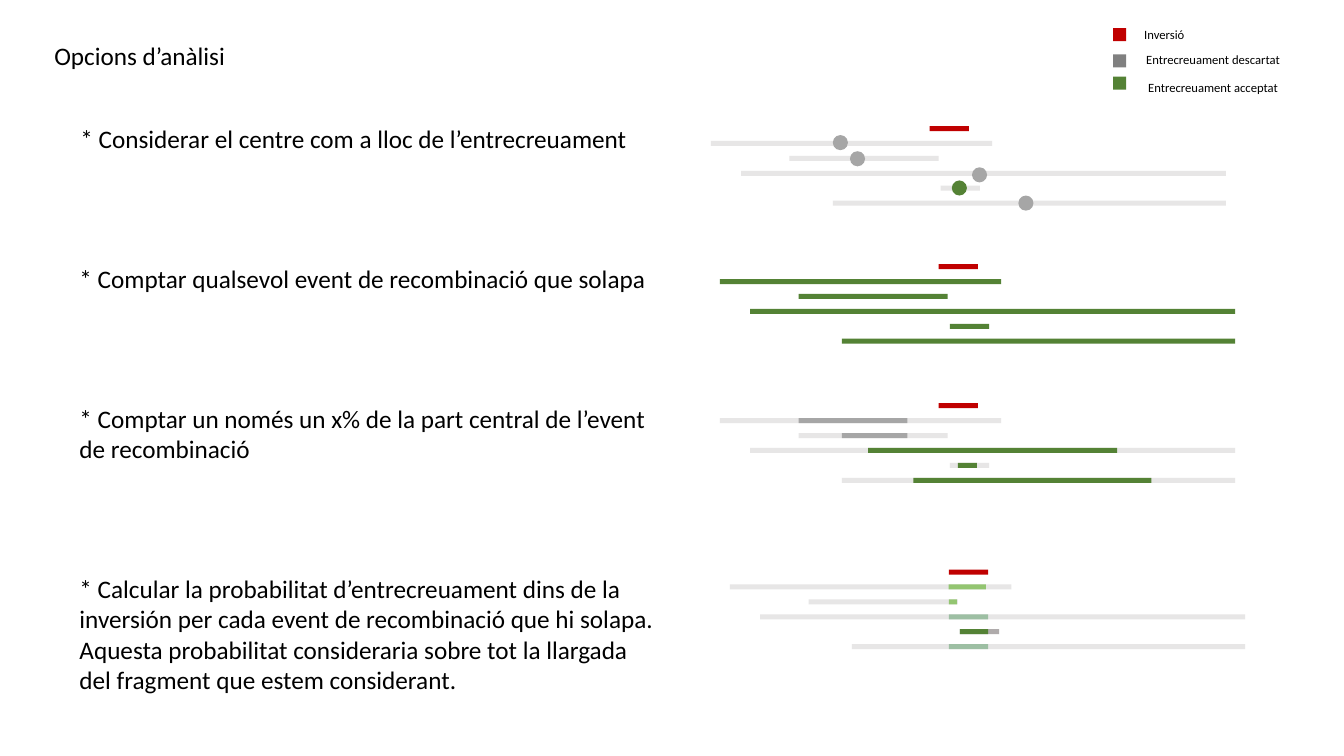
import pptx
import pptx.util
import pptx.dml.color
import pptx.enum.shapes
import pptx.enum.text

Inches = pptx.util.Inches
RGBColor = pptx.dml.color.RGBColor
Shape = pptx.enum.shapes.MSO_SHAPE

BLACK = RGBColor(0x00, 0x00, 0x00)
RED = RGBColor(0xC0, 0x00, 0x00)
GREEN = RGBColor(0x54, 0x82, 0x35)
LIGHT_GREEN = RGBColor(0x93, 0xC5, 0x71)
PALE_GREEN = RGBColor(0x9D, 0xBF, 0xA3)
PALE_GRAY = RGBColor(0xE7, 0xE6, 0xE6)
WARM_GRAY = RGBColor(0xAF, 0xAB, 0xAB)
MID_GRAY = RGBColor(0xA6, 0xA6, 0xA6)
DARK_GRAY = RGBColor(0x80, 0x80, 0x80)

# Offset from the left of the diagram, and width
INVERSION = (2.17, 0.39)
EVENTS = [(0, 2.79), (0.78, 1.48), (0.3, 4.81), (2.28, 0.39), (1.21, 3.9)]
ROW_PITCH = 0.148
BAR_HEIGHT = 0.05
DOT_SIZE = 0.15


class SlideBuilder:
    def __init__(self, slide, font="Calibri"):
        self.slide = slide
        self.font = font

    def text(self, left, top, width, height, words, size=18, wrap=True):
        box = self.slide.shapes.add_textbox(
            Inches(left), Inches(top), Inches(width), Inches(height))
        frame = box.text_frame
        frame.text = words
        frame.word_wrap = wrap
        frame.auto_size = pptx.enum.text.MSO_AUTO_SIZE.SHAPE_TO_FIT_TEXT
        for span in frame.paragraphs[0].runs:
            span.font.name = self.font
            span.font.size = pptx.util.Pt(size)
            span.font.color.rgb = BLACK

    def shape(self, left, top, width, height, color, kind=Shape.RECTANGLE):
        shape = self.slide.shapes.add_shape(
            kind, Inches(left), Inches(top), Inches(width), Inches(height))
        shape.shadow.inherit = False
        shape.fill.solid()
        shape.fill.fore_color.rgb = color
        shape.line.fill.background()

    def dot(self, left, top, color):
        self.shape(left, top, DOT_SIZE, DOT_SIZE, color, Shape.OVAL)

    def diagram(self, left, top, event_colors, segments=()):
        """Inversion on the first row, one event on each row below it."""
        bars = [(0, *INVERSION, RED)]
        for row, (event, color) in enumerate(zip(EVENTS, event_colors), 1):
            bars.append((row, *event, color))
        for row, segment in enumerate(segments, 1):
            bars.append((row, *segment))
        for row, offset, width, color in bars:
            self.shape(left + offset, top + row * ROW_PITCH,
                       width, BAR_HEIGHT, color)


deck = pptx.Presentation()
deck.slide_width = Inches(13.33)
deck.slide_height = Inches(7.5)
page = SlideBuilder(deck.slides.add_slide(deck.slide_layouts[6]))

# Title
page.text(0.44, 0.35, 1.91, 0.4, "Opcions d’anàlisi", wrap=False)

# Legend
LEGEND = [
    (0.28, RED, 11.25, 0.22, 0.68, "Inversió"),
    (0.54, DARK_GRAY, 11.27, 0.47, 1.62, "Entrecreuament descartat"),
    (0.76, GREEN, 11.29, 0.74, 1.6, "Entrecreuament acceptat"),
]
for key_top, color, left, top, width, label in LEGEND:
    page.shape(11.04, key_top, 0.13, 0.13, color)
    page.text(left, top, width, 0.25, label, size=9)

# Option 1: centre of each event
page.text(0.7, 1.17, 5.7, 0.4,
          "* Considerar el centre com a lloc de l’entrecreuament")
page.diagram(7.05, 1.25, [PALE_GRAY] * 5)
CENTRES = [
    (8.26, 1.34, MID_GRAY),
    (8.43, 1.5, MID_GRAY),
    (9.64, 1.66, MID_GRAY),
    (9.44, 1.79, GREEN),
    (10.1, 1.94, MID_GRAY),
]
for centre in CENTRES:
    page.dot(*centre)

# Option 2: any overlapping event
page.text(0.69, 2.56, 5.97, 0.4,
          "* Comptar qualsevol event de recombinació que solapa")
page.diagram(7.14, 2.62, [GREEN] * 5)

# Option 3: central part of each event
page.text(0.69, 3.95, 5.97, 0.71,
          "* Comptar un només un x% de la part central de l’event "
          "de recombinació")
page.diagram(7.14, 4, [PALE_GRAY] * 5, [
    (0.78, 1.08, MID_GRAY),
    (1.21, 0.65, MID_GRAY),
    (1.47, 2.47, GREEN),
    (2.36, 0.19, GREEN),
    (1.92, 2.36, GREEN),
])

# Option 4: probability inside the inversion
page.text(0.69, 5.64, 5.97, 1.31,
          "* Calcular la probabilitat d’entrecreuament dins de la inversión "
          "per cada event de recombinació que hi solapa. Aquesta probabilitat "
          "consideraria sobre tot la llargada del fragment que estem "
          "considerant.")
page.diagram(7.24, 5.65, [PALE_GRAY] * 3 + [WARM_GRAY, PALE_GRAY], [
    (2.17, 0.37, LIGHT_GREEN),
    (2.17, 0.08, LIGHT_GREEN),
    (2.17, 0.39, PALE_GREEN),
    (2.28, 0.28, GREEN),
    (2.17, 0.39, PALE_GREEN),
])

deck.save("out.pptx")
